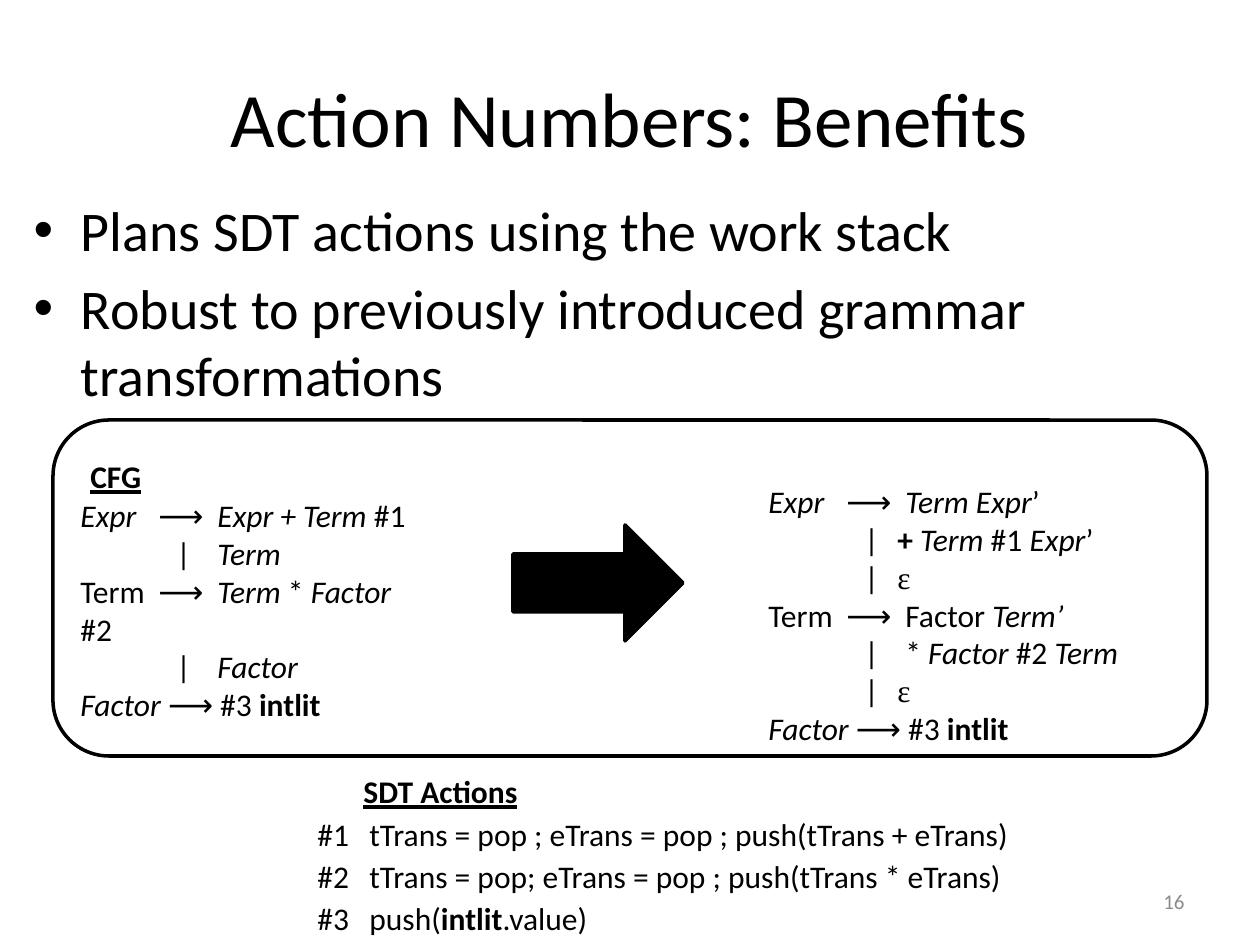
"""Build the slide on the benefits of action numbers in a grammar."""
from lxml import etree
from pptx import Presentation
from pptx import util as u
from pptx.dml.color import RGBColor
from pptx.enum import shapes, text
from pptx.oxml import ns

PIXEL = 914400 // 126
COLORS = {"ink": "000000", "paper": "FFFFFF", "muted": "8C8C8C"}
FONT, SYMBOL_FONT = "Calibri", "Times New Roman"

TITLE = "Action Numbers: Benefits"
BULLETS = ["Plans SDT actions using the work stack",
           "Robust to previously introduced grammar transformations"]

ARROW_TABS, BAR_TABS, CLOSE_BAR_TABS = (78, 137), (96, 137), (96, 129)
EPSILON_ROW = (CLOSE_BAR_TABS, [("\t|\t", ""), ("ε", "s")])
FACTOR_ROW = ((), [("Factor ", "i"), ("⟶ #3 ", ""), ("intlit", "b")])
GRAMMAR = [
    (ARROW_TABS, [("Expr", "i"), ("\t⟶\t", ""), ("Expr + Term ", "i"), ("#1", "")]),
    (BAR_TABS, [("\t|\t", ""), ("Term", "i")]),
    (ARROW_TABS, [("Term\t⟶\t", ""), ("Term", "i"), (" * ", ""), ("Factor ", "i"), ("#2", "")]),
    (BAR_TABS, [("\t|\t", ""), ("Factor", "i")]),
    FACTOR_ROW,
]
TRANSFORMED = [
    (ARROW_TABS, [("Expr", "i"), ("\t⟶\t", ""), ("Term Expr", "i"), ("’", "")]),
    (CLOSE_BAR_TABS, [("\t|\t", ""), ("+ ", "b"), ("Term ", "i"), ("#1 ", ""),
                      ("Expr", "i"), ("’", "")]),
    EPSILON_ROW,
    (ARROW_TABS, [("Term\t⟶\tFactor ", ""), ("Term’", "i")]),
    (BAR_TABS, [("\t|\t* ", ""), ("Factor ", "i"), ("#2", ""), (" Term", "i")]),
    EPSILON_ROW,
    FACTOR_ROW,
]
ACTIONS = [
    ("#1", [("tTrans = pop ; eTrans = pop ; push(tTrans + eTrans)", "")]),
    ("#2", [("tTrans = pop; eTrans = pop ; push(tTrans * eTrans)", "")]),
    ("#3", [("push(", ""), ("intlit", "b"), (".value)", "")]),
]


def pixels(*lengths):
    return [u.Emu(length * PIXEL) for length in lengths]


def plain(content, style=""):
    return [((), [(content, style)])]


def write(frame, rows, size=18, color="ink", align=None):
    for index, (tabs, runs) in enumerate(rows):
        paragraph = frame.paragraphs[0] if index == 0 else frame.add_paragraph()
        if align is not None:
            paragraph.alignment = align
        if tabs:
            properties = paragraph._p.get_or_add_pPr()
            tab_list = etree.SubElement(properties, ns.qn("a:tabLst"))
            for position in tabs:
                etree.SubElement(tab_list, ns.qn("a:tab"), pos=str(position * PIXEL), algn="l")
        for content, style in runs:
            run = paragraph.add_run()
            run.text = content
            font = run.font
            font.name = SYMBOL_FONT if "s" in style else FONT
            font.size = u.Pt(size)
            font.color.rgb = RGBColor.from_string(COLORS[color])
            font.bold, font.italic, font.underline = (key in style for key in "biu")


def add_text(parent, box, rows, wrap=False, anchor=text.MSO_ANCHOR.TOP, **style):
    frame = parent.shapes.add_textbox(*pixels(*box)).text_frame
    frame.word_wrap = wrap
    frame.vertical_anchor = anchor
    write(frame, rows, **style)


def fill_placeholder(placeholder, box, rows, **style):
    placeholder.left, placeholder.top, placeholder.width, placeholder.height = pixels(*box)
    write(placeholder.text_frame, rows, **style)


def add_outlined(slide, kind, box, fill):
    shape = slide.shapes.add_shape(kind, *pixels(*box))
    shape.shadow.inherit = False
    shape.fill.solid()
    shape.fill.fore_color.rgb = RGBColor.from_string(COLORS[fill])
    shape.line.color.rgb = RGBColor.from_string(COLORS["ink"])
    shape.line.width = u.Pt(2)
    return shape


presentation = Presentation()
presentation.slide_width, presentation.slide_height = pixels(1260, 945)
slide = presentation.slides.add_slide(presentation.slide_layouts[1])
title, body = slide.placeholders

panel = add_outlined(slide, shapes.MSO_SHAPE.ROUNDED_RECTANGLE, (53, 420, 1154, 336), "paper")
title._element.addprevious(panel._element)
fill_placeholder(title, (63, 38, 1134, 157), plain(TITLE), size=44, align=text.PP_ALIGN.CENTER)
fill_placeholder(body, (21, 189, 1217, 252),
                 [row for bullet in BULLETS for row in plain(bullet)], size=32)

add_text(slide, (903, 876, 294, 50), plain("16"), size=12, color="muted",
         align=text.PP_ALIGN.RIGHT, anchor=text.MSO_ANCHOR.MIDDLE)
add_text(slide, (68, 490, 372, 204), GRAMMAR, wrap=True)
add_text(slide, (78, 451, 77, 50), plain("CFG", "bu"))

actions = slide.shapes.add_group_shape()
add_text(actions, (351, 766, 181, 50), plain("SDT Actions", "bu"))
for index, (number, runs) in enumerate(ACTIONS):
    top = 809 + 42 * index
    add_text(actions, (305, top, 58, 50), plain(number))
    add_text(actions, (357, top, 673, 50), [((), runs)])

add_outlined(slide, shapes.MSO_SHAPE.RIGHT_ARROW, (513, 525, 170, 116), "ink")
add_text(slide, (756, 476, 379, 280), TRANSFORMED, wrap=True)
presentation.save("out.pptx")
